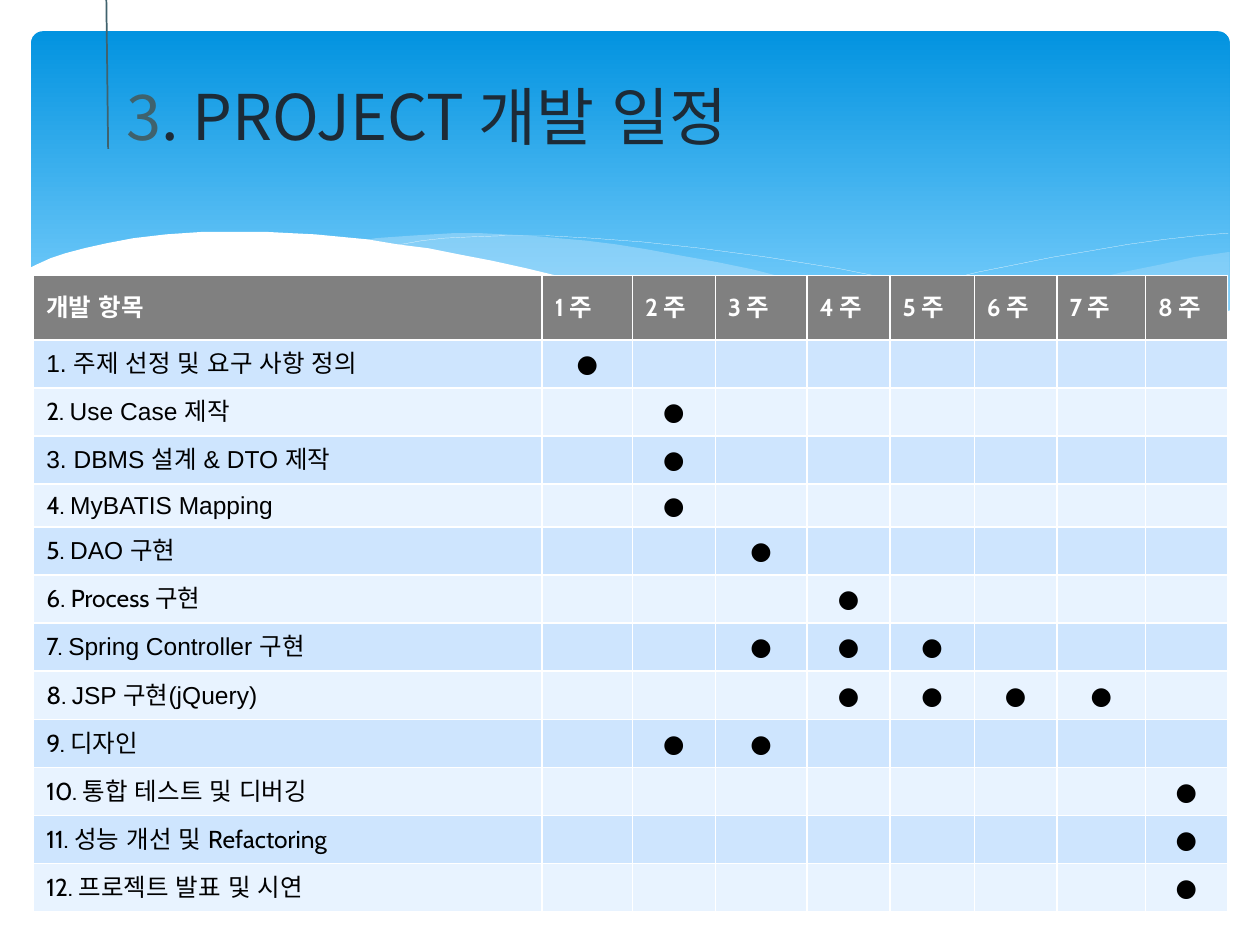
from pptx import Presentation
from pptx.dml.color import RGBColor
from pptx.enum.shapes import MSO_CONNECTOR, MSO_SHAPE
from pptx.enum.text import MSO_ANCHOR, MSO_AUTO_SIZE, PP_ALIGN
from pptx.oxml.ns import qn
from pptx.util import Cm, Pt
from lxml.etree import SubElement

COLORS = {
    "sky_top": "0293E0", "sky_bottom": "83D3FE", "wave": "C6E7FC", "white": "FFFFFF",
    "accent": "3F626D", "title": "1D2B37", "header": "808080",
    "band_dark": "CEE5FE", "band_light": "E8F3FF", "text": "000000",
}
COLORS = {name: RGBColor.from_string(value) for name, value in COLORS.items()}


def add_run(paragraph, text, color, east_asian="Arial", **formats):
    run = paragraph.add_run()
    run.text = text
    run.font.color.rgb = COLORS[color]
    for attribute, value in formats.items():
        setattr(run.font, attribute, value)
    SubElement(run.font._element, qn("a:ea")).set("typeface", east_asian)


def add_wave(slide, points, closed):
    # Points are in hundredths of an inch
    builder = slide.shapes.build_freeform(*points[0], scale=Cm(0.0254))
    builder.add_line_segments(points[1:], close=closed)
    shape = builder.convert_to_shape()
    shape.shadow.inherit = False
    return shape


presentation = Presentation()
presentation.slide_width, presentation.slide_height = Cm(25.4), Cm(19.05)
slide = presentation.slides.add_slide(presentation.slide_layouts[5])

# Sky panel
sky = slide.shapes.add_shape(MSO_SHAPE.ROUNDED_RECTANGLE, Cm(0.63), Cm(0.63), Cm(24.16), Cm(6.86))
sky.adjustments[0] = 0.034
sky.shadow.inherit = False
sky.line.fill.background()
sky.fill.gradient()
sky.fill.gradient_angle = 270
for stop, position, color in zip(sky.fill.gradient_stops, (0, 0.9), ("sky_top", "sky_bottom")):
    stop.position = position
    stop.color.rgb = COLORS[color]

# Filled and outlined waves, from back to front
right_wave = [
    (975, 200), (948, 204), (921, 210), (891, 216), (861, 223), (832, 230), (805, 237),
    (779, 242), (753, 248), (729, 253), (706, 257), (683, 262), (661, 265), (691, 269),
    (719, 272), (745, 275), (769, 277), (792, 277), (814, 278), (835, 277), (854, 276),
    (872, 274), (889, 272), (905, 269), (921, 265), (935, 262), (949, 257), (963, 252),
    (975, 247), (976, 247), (976, 200),
]
middle_wave = [
    (893, 273), (866, 269), (837, 265), (807, 260), (775, 254), (741, 247), (706, 240),
    (668, 231), (629, 222), (598, 214), (569, 208), (541, 203), (514, 198), (489, 194),
    (465, 191), (442, 189), (420, 187), (399, 186), (380, 185), (361, 185), (344, 186),
    (328, 187), (313, 188), (299, 189), (286, 191), (323, 196), (362, 203), (404, 211),
    (449, 222), (491, 232), (530, 240), (566, 248), (601, 255), (634, 261), (665, 266),
    (695, 270), (722, 274), (748, 276), (773, 277), (796, 278), (828, 278), (857, 277),
    (876, 275),
]
long_crest = [
    (309, 195), (318, 194), (335, 191), (353, 189), (374, 188), (401, 187), (433, 187),
    (469, 189), (510, 192), (556, 197), (608, 204), (665, 213), (695, 219), (727, 226),
    (760, 233), (795, 241), (831, 251), (869, 261), (907, 272),
]
right_crest = [
    (613, 257), (653, 246), (695, 235), (720, 229), (748, 223), (776, 216), (806, 210),
    (836, 204), (866, 199), (895, 194), (924, 190), (951, 187), (975, 185),
]
white_wave = [
    (977, 246), (959, 253), (940, 259), (920, 265), (899, 269), (875, 273), (850, 275),
    (823, 277), (793, 276), (761, 275), (726, 272), (688, 268), (648, 262), (603, 254),
    (555, 245), (503, 233), (447, 220), (418, 213), (391, 207), (365, 202), (340, 197),
    (316, 194), (292, 190), (271, 188), (250, 186), (230, 185), (211, 184), (161, 184),
    (132, 186), (106, 189), (85, 193), (67, 197), (52, 201), (40, 205), (29, 210),
    (23, 213), (23, 329), (977, 329),
]
for points, fill, opacity in [
    (right_wave, "wave", 29), (middle_wave, "wave", 40),
    (long_crest, None, 100), (right_crest, None, 100), (white_wave, "white", 100),
]:
    shape = add_wave(slide, points, closed=fill is not None)
    if fill is None:
        shape.fill.background()
        shape.line.color.rgb = COLORS["white"]
        shape.line.width = Pt(0.1)
        continue
    shape.fill.solid()
    shape.fill.fore_color.rgb = COLORS[fill]
    shape.line.fill.background()
    if opacity < 100:
        fill_color = shape._element.spPr.find(qn("a:solidFill"))[0]
        SubElement(fill_color, qn("a:alpha")).set("val", str(opacity * 1000))

# Line beside the title
title_line = slide.shapes.add_connector(
    MSO_CONNECTOR.STRAIGHT, Cm(2.14), Cm(-0.33), Cm(2.18), Cm(3))
title_line.line.color.rgb = COLORS["accent"]
title_line.line.width = Pt(1)
SubElement(title_line._element.spPr, qn("a:effectLst"))

# Title, brought in front of the waves
title = slide.shapes.title
slide.shapes._spTree.append(title._element)
title.left, title.top, title.width, title.height = Cm(2.29), Cm(1.12), Cm(22.86), Cm(2.24)
title.text_frame.auto_size = MSO_AUTO_SIZE.NONE
title.text_frame.vertical_anchor = MSO_ANCHOR.MIDDLE
paragraph = title.text_frame.paragraphs[0]
paragraph.alignment = PP_ALIGN.LEFT
paragraph.line_spacing = 1.1
title_format = {"name": "Noto Sans CJK KR", "size": Pt(36)}
add_run(paragraph, "3", "accent", **title_format)
add_run(paragraph, ". PROJECT 개발 일정", "title", **title_format)

# Schedule: Cabin text, Arial text, weeks marked
WEEKS = 8
LATIN_ROW = 4
tasks = [
    ("", "1. 주제 선정 및 요구 사항 정의", [1]),
    ("2. ", "Use Case 제작", [2]),
    ("", "3. DBMS 설계 & DTO 제작", [2]),
    ("4. ", "MyBATIS Mapping", [2]),
    ("5. ", "DAO 구현", [3]),
    ("6. Process 구현", "", [4]),
    ("7. ", "Spring Controller 구현", [3, 4, 5]),
    ("8. ", "JSP 구현(jQuery)", [4, 5, 6, 7]),
    ("9. 디자인", "", [2, 3]),
    ("10. 통합 테스트 및 디버깅", "", [8]),
    ("11. 성능 개선 및 Refactoring", "", [8]),
    ("12. 프로젝트 발표 및 시연", "", [8]),
]
table = slide.shapes.add_table(
    len(tasks) + 1, WEEKS + 1, Cm(0.68), Cm(5.55), Cm(24.06), Cm(12.83)).table
for column, width in zip(table.columns, (10.25, 1.82, 1.67, 1.85, 1.67, 1.7, 1.67, 1.78, 1.65)):
    column.width = Cm(width)
# The header is taller, the row without Korean text lower
special_heights = {0: 1.3, LATIN_ROW: 0.86}
for index, row in enumerate(table.rows):
    row.height = Cm(special_heights.get(index, 0.97))

cell_format = {"name": "Cabin", "size": Pt(14), "bold": False}
header_format = {**cell_format, "bold": True}
for row_index, row in enumerate(table.rows):
    for column_index, cell in enumerate(row.cells):
        cell.vertical_anchor = MSO_ANCHOR.MIDDLE
        cell.fill.solid()
        paragraph = cell.text_frame.paragraphs[0]
        if row_index == 0:
            cell.fill.fore_color.rgb = COLORS["header"]
            label = f"{column_index} 주" if column_index else "개발 항목"
            add_run(paragraph, label, "white", **header_format)
            continue
        cell.fill.fore_color.rgb = COLORS["band_dark" if row_index % 2 else "band_light"]
        cabin_text, arial_text, weeks = tasks[row_index - 1]
        if column_index == 0:
            for text, font_name in ((cabin_text, "Cabin"), (arial_text, "Arial")):
                if text:
                    add_run(paragraph, text, "text", **{**cell_format, "name": font_name})
        elif column_index in weeks:
            paragraph.alignment = PP_ALIGN.CENTER
            add_run(paragraph, "●", "text", east_asian="Cabin", **cell_format)
        else:
            # Empty cells keep the text size so that rows stay low
            SubElement(paragraph._p, qn("a:endParaRPr")).set("sz", "1400")

presentation.save("out.pptx")
